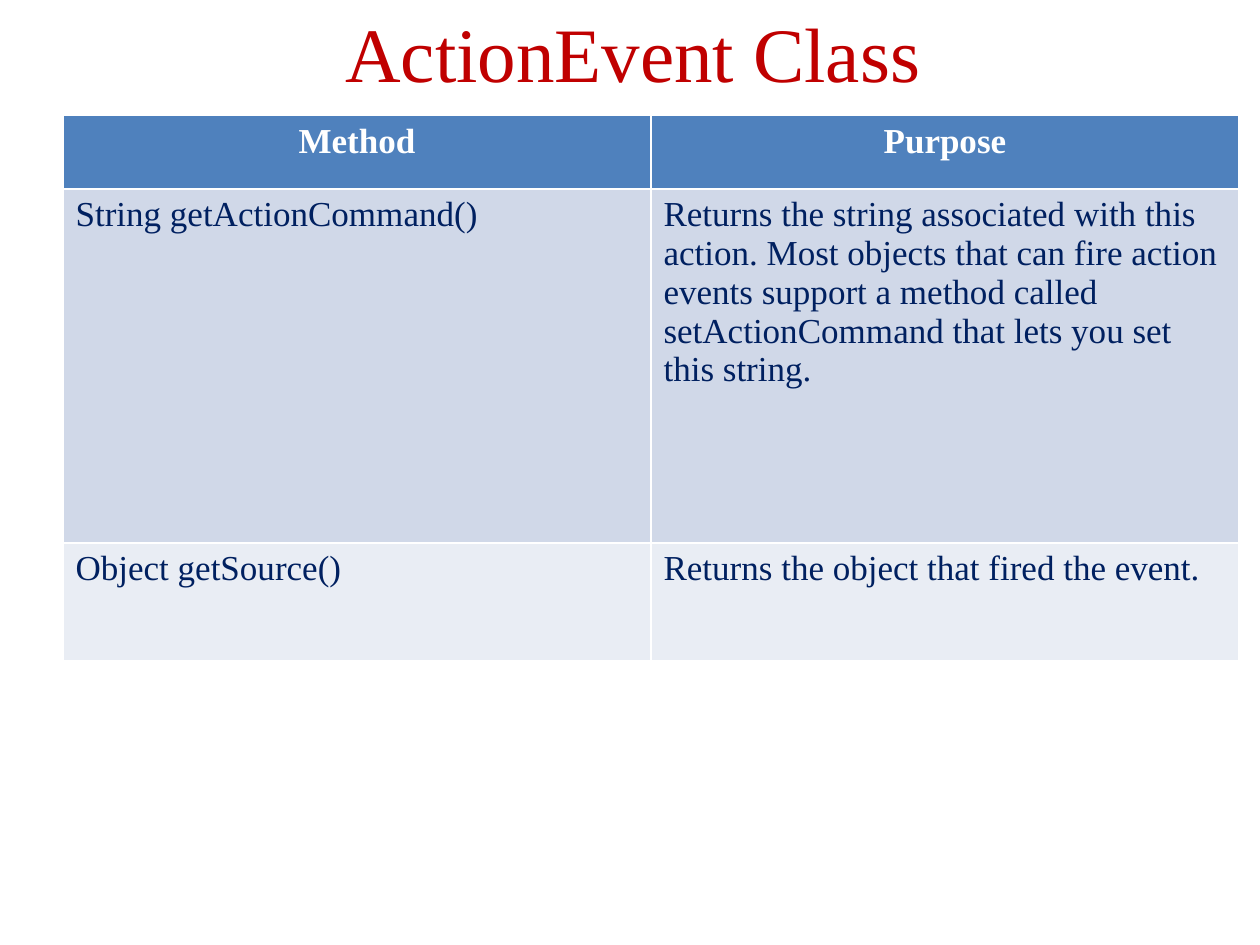
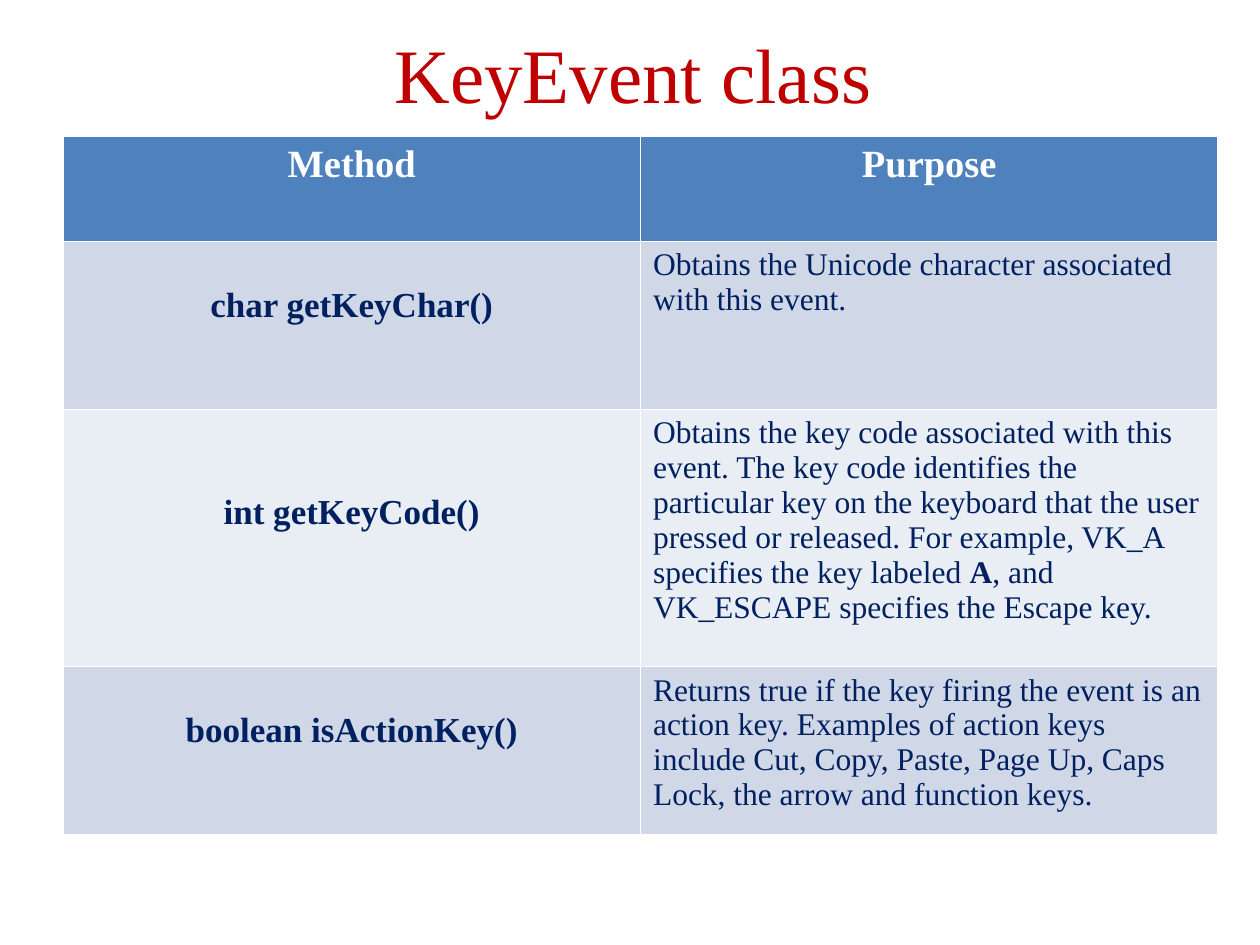
from pptx import Presentation
from pptx.dml.color import RGBColor as RGB
from pptx.enum.text import MSO_ANCHOR as Anchor, MSO_AUTO_SIZE as Fit, PP_ALIGN as Align
from pptx.util import Pt

FONT = "Times New Roman"
RED = RGB(0xC0, 0x00, 0x00)
NAVY = RGB(0x00, 0x20, 0x60)
WHITE = RGB(0xFF, 0xFF, 0xFF)
BLUE = RGB(0x4F, 0x81, 0xBD)
BANDS = RGB(0xD0, 0xD8, 0xE8), RGB(0xE9, 0xED, 0xF4)

LEFT = 36
INSET = 3.6
LINE = 22.1
HEADS = "Method", "Purpose"

ACTION = [
    ("String getActionCommand()",
     "Returns the string associated with this action. Most objects that can fire "
     "action events support a method called setActionCommand that lets you set this string."),
    ("Object getSource()", "Returns the object that fired the event."),
]
KEY = [
    ("char getKeyChar()", "Obtains the Unicode character associated with this event."),
    ("int getKeyCode()",
     "Obtains the key code associated with this event. The key code identifies the "
     "particular key on the keyboard that the user pressed or released. For example, "
     "VK_A specifies the key labeled **A**, and VK_ESCAPE specifies the Escape key."),
    ("boolean isActionKey()",
     "Returns true if the key firing the event is an action key. Examples of action keys "
     "include Cut, Copy, Paste, Page Up, Caps Lock, the arrow and function keys."),
]


def write(frame, text, size=20, color=NAVY, bold=False, align=Align.LEFT):
    par = frame.paragraphs[0]
    par.alignment = align
    for i, part in enumerate(text.split("**")):
        run = par.add_run()
        run.text = part
        font = run.font
        font.name, font.size = FONT, Pt(size)
        font.bold = bold or i % 2 == 1
        font.color.rgb = color


def add_page(deck, title, top):
    page = deck.slides.add_slide(deck.slide_layouts[5])
    head = page.shapes.title
    head.left, head.top, head.width, head.height = Pt(39.6), Pt(top), Pt(644.4), Pt(82.8)
    frame = head.text_frame
    frame.word_wrap = True
    frame.auto_size = Fit.NONE
    frame.vertical_anchor = Anchor.MIDDLE
    write(frame, title, size=44, color=RED, align=Align.CENTER)
    return page


def fill_cell(cell, text, fill, drop=0, **style):
    cell.fill.solid()
    cell.fill.fore_color.rgb = fill
    cell.margin_top = Pt(INSET + drop)
    write(cell.text_frame, text, **style)


def add_grid(page, rows, top, width, heights, head, name, note, drops):
    shape = page.shapes.add_table(len(rows) + 1, 2, Pt(LEFT), Pt(top),
                                  Pt(2 * width), Pt(sum(heights)))
    grid = shape.table
    for col in grid.columns:
        col.width = Pt(width)
    for row, height in zip(grid.rows, heights):
        row.height = Pt(height)
    for col, text in enumerate(HEADS):
        fill_cell(grid.cell(0, col), text, BLUE, size=head, color=WHITE,
                  bold=True, align=Align.CENTER)
    for i, ((call, use), drop) in enumerate(zip(rows, drops)):
        band = BANDS[i % 2]
        fill_cell(grid.cell(i + 1, 0), call, band, drop * LINE, **name)
        fill_cell(grid.cell(i + 1, 1), use, band, **note)


def main():
    deck = Presentation()
    deck.slide_width, deck.slide_height = Pt(720), Pt(540)

    page = add_page(deck, "ActionEvent Class", -12)
    add_grid(page, ACTION, 66, 336, [42, 202.3, 67.5], head=20,
             name={}, note={}, drops=[0, 0])

    page = add_page(deck, "KeyEvent class", 0)
    add_grid(page, KEY, 78, 330, [60, 96, 147, 96], head=22,
             name={"bold": True, "align": Align.CENTER}, note={"size": 18},
             drops=[1, 2, 1])

    deck.save("out.pptx")


if __name__ == "__main__":
    main()
